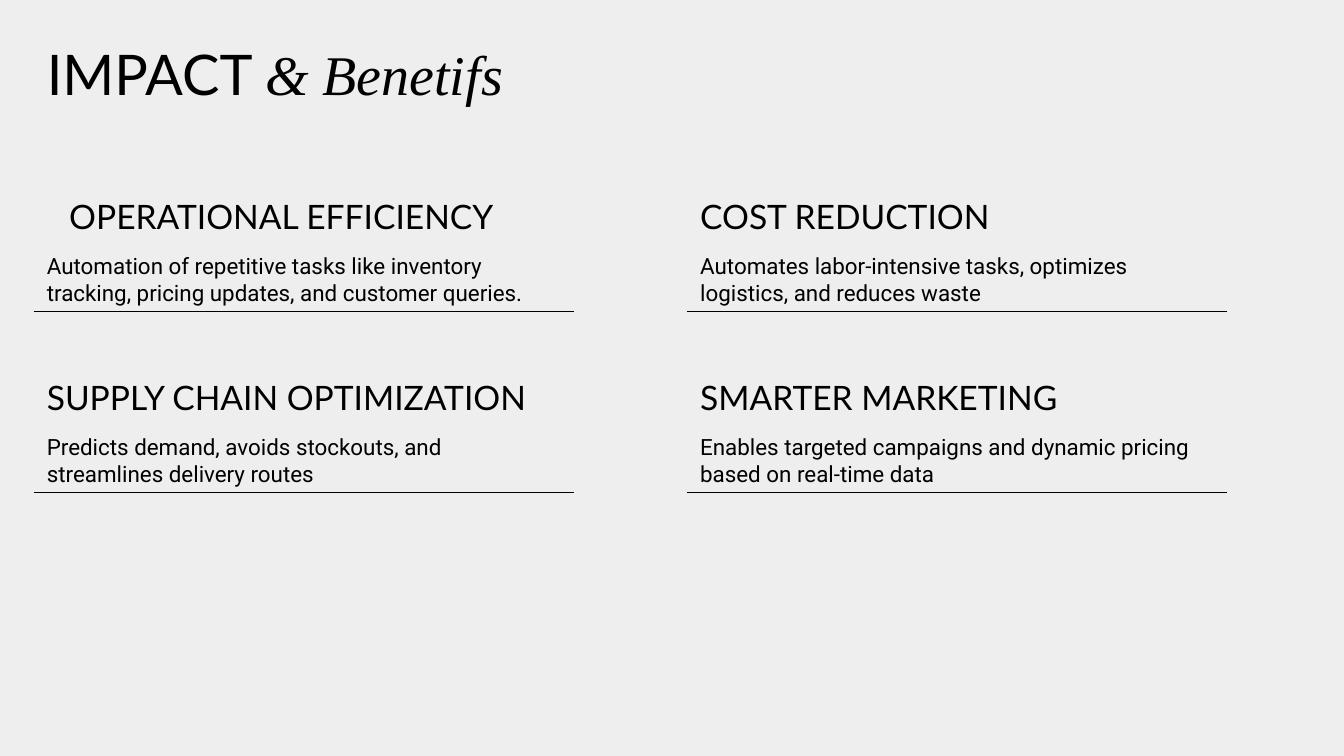
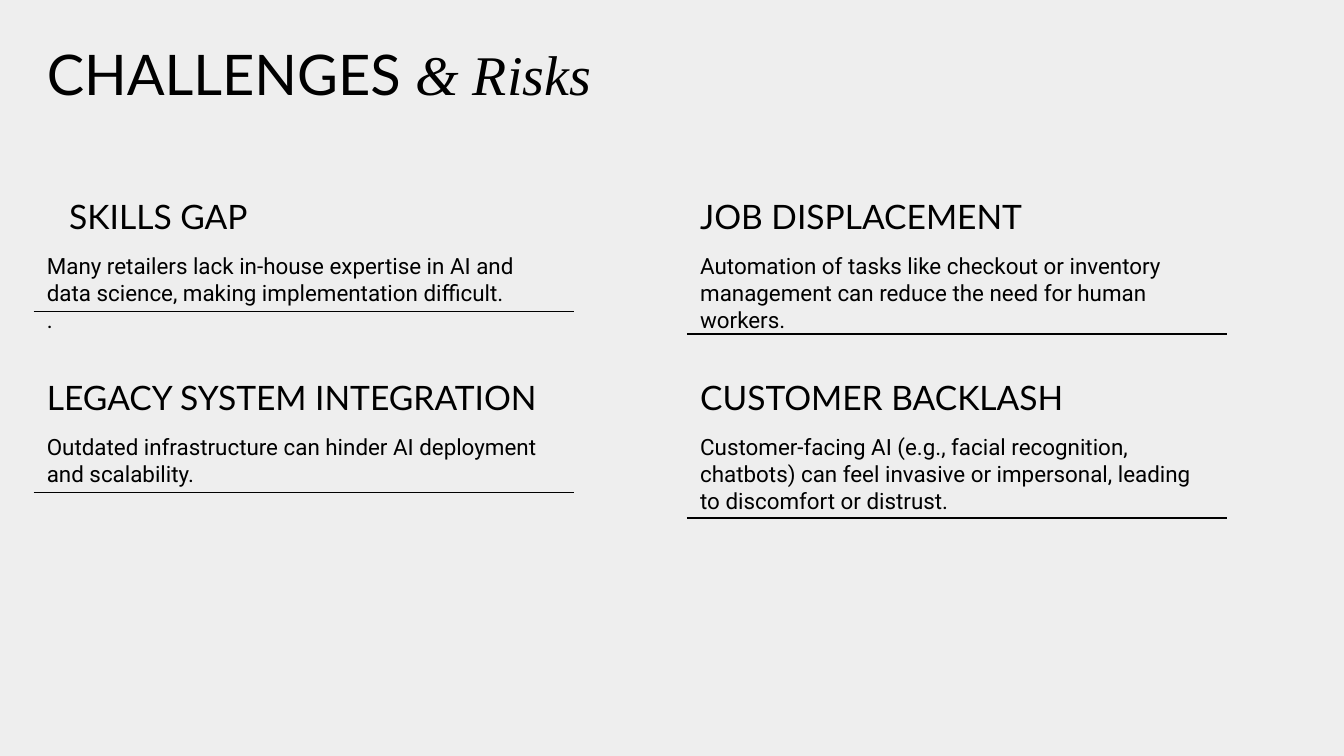
from pptx import Presentation
from pptx.dml.color import RGBColor
from pptx.enum.shapes import MSO_CONNECTOR
from pptx.enum.text import MSO_ANCHOR
from pptx.oxml.ns import qn
from pptx.util import Pt

STRAIGHT = MSO_CONNECTOR.STRAIGHT
TOP, BOTTOM = MSO_ANCHOR.TOP, MSO_ANCHOR.BOTTOM
BACKGROUND, INK = "EEEEEE", "000000"
HEADING_FONT, BODY_FONT, ACCENT_FONT = "Lato", "Roboto", "Times New Roman"
LEFT, COLUMN_PITCH, COLUMN_WIDTH = 18, 350, 289.5
GRID_TOP, ROW_PITCH = 98, 97
BODY_OFFSET, RULE_OFFSET = 30, 69
INSET = 7.2

SLIDES = [
    ("IMPACT ", "& Benetifs", [
        ("OPERATIONAL EFFICIENCY",
         "Automation of repetitive tasks like inventory tracking, pricing updates, and customer queries.", 0),
        ("COST REDUCTION",
         "Automates labor-intensive tasks, optimizes logistics, and reduces waste", 0),
        ("SUPPLY CHAIN OPTIMIZATION",
         "Predicts demand, avoids stockouts, and streamlines delivery routes", 0),
        ("SMARTER MARKETING",
         "Enables targeted campaigns and dynamic pricing based on real-time data", 0),
    ]),
    ("CHALLENGES ", "& Risks", [
        ("SKILLS GAP",
         "Many retailers lack in-house expertise in AI and data science, making implementation difficult.\n.", 0),
        ("JOB DISPLACEMENT",
         "Automation of tasks like checkout or inventory management can reduce the need for human workers.", 12),
        ("LEGACY SYSTEM INTEGRATION",
         "Outdated infrastructure can hinder AI deployment and scalability.", 0),
        ("CUSTOMER BACKLASH",
         "Customer-facing AI (e.g., facial recognition, chatbots) can feel invasive or impersonal, "
         "leading to discomfort or distrust.", 13.5),
    ]),
]


def color(hex_value):
    """Turn a hex string into a colour."""
    return RGBColor.from_string(hex_value)


def add_run(paragraph, text, *, font=BODY_FONT, size=12, italic=False):
    """Append a formatted run to a paragraph."""
    run = paragraph.add_run()
    run.text = text
    run.font.name = font
    run.font.size = Pt(size)
    run.font.italic = italic
    run.font.color.rgb = color(INK)


def add_text(slide, text, left, top, width, height, *, anchor=TOP, **run_format):
    """Add a text box with one paragraph per line and return its frame."""
    shape = slide.shapes.add_textbox(Pt(left), Pt(top), Pt(width), Pt(height))
    frame = shape.text_frame
    frame.word_wrap = True
    frame.vertical_anchor = anchor
    frame.margin_left = frame.margin_right = Pt(INSET)
    frame.margin_top = frame.margin_bottom = Pt(INSET)
    for index, line in enumerate(text.split("\n")):
        paragraph = frame.paragraphs[0] if index == 0 else frame.add_paragraph()
        add_run(paragraph, line, **run_format)
    return frame


def add_title(slide, plain, accent):
    """Add the title with its italic ending."""
    frame = add_text(slide, plain, LEFT, 18, 684, 45, font=HEADING_FONT, size=30)
    paragraph = frame.paragraphs[0]
    paragraph.line_spacing = 0.9
    add_run(paragraph, accent, font=ACCENT_FONT, size=30, italic=True)


def add_rule(slide, left, top):
    """Draw the thin line that closes a topic."""
    connector = slide.shapes.add_connector(
        STRAIGHT, Pt(left), Pt(top), Pt(left + COLUMN_WIDTH), Pt(top))
    connector.line.color.rgb = color(INK)
    connector.line.width = Pt(0.75)
    properties = connector._element.spPr
    properties.append(properties.makeelement(qn("a:effectLst"), {}))


def add_topic(slide, index, heading, body, rule_drop):
    """Place heading, body and rule in one cell of the two-column grid."""
    row, column = divmod(index, 2)
    left = LEFT + column * COLUMN_PITCH
    top = GRID_TOP + row * ROW_PITCH
    add_text(slide, body, left, top + BODY_OFFSET, COLUMN_WIDTH, 29)
    frame = add_text(slide, heading, left, top, COLUMN_WIDTH, 36,
                     anchor=BOTTOM, font=HEADING_FONT, size=18)
    if index == 0:
        paragraph_properties = frame.paragraphs[0]._p.get_or_add_pPr()
        paragraph_properties.set("marL", str(Pt(36)))
        paragraph_properties.set("indent", str(Pt(-24)))
    add_rule(slide, left, top + RULE_OFFSET + rule_drop)


def main():
    """Build and save the presentation."""
    presentation = Presentation()
    presentation.slide_width, presentation.slide_height = Pt(720), Pt(405)
    for plain, accent, topics in SLIDES:
        slide = presentation.slides.add_slide(presentation.slide_layouts[6])
        slide.background.fill.solid()
        slide.background.fill.fore_color.rgb = color(BACKGROUND)
        add_title(slide, plain, accent)
        for index, topic in enumerate(topics):
            add_topic(slide, index, *topic)
    presentation.save("out.pptx")


if __name__ == "__main__":
    main()
